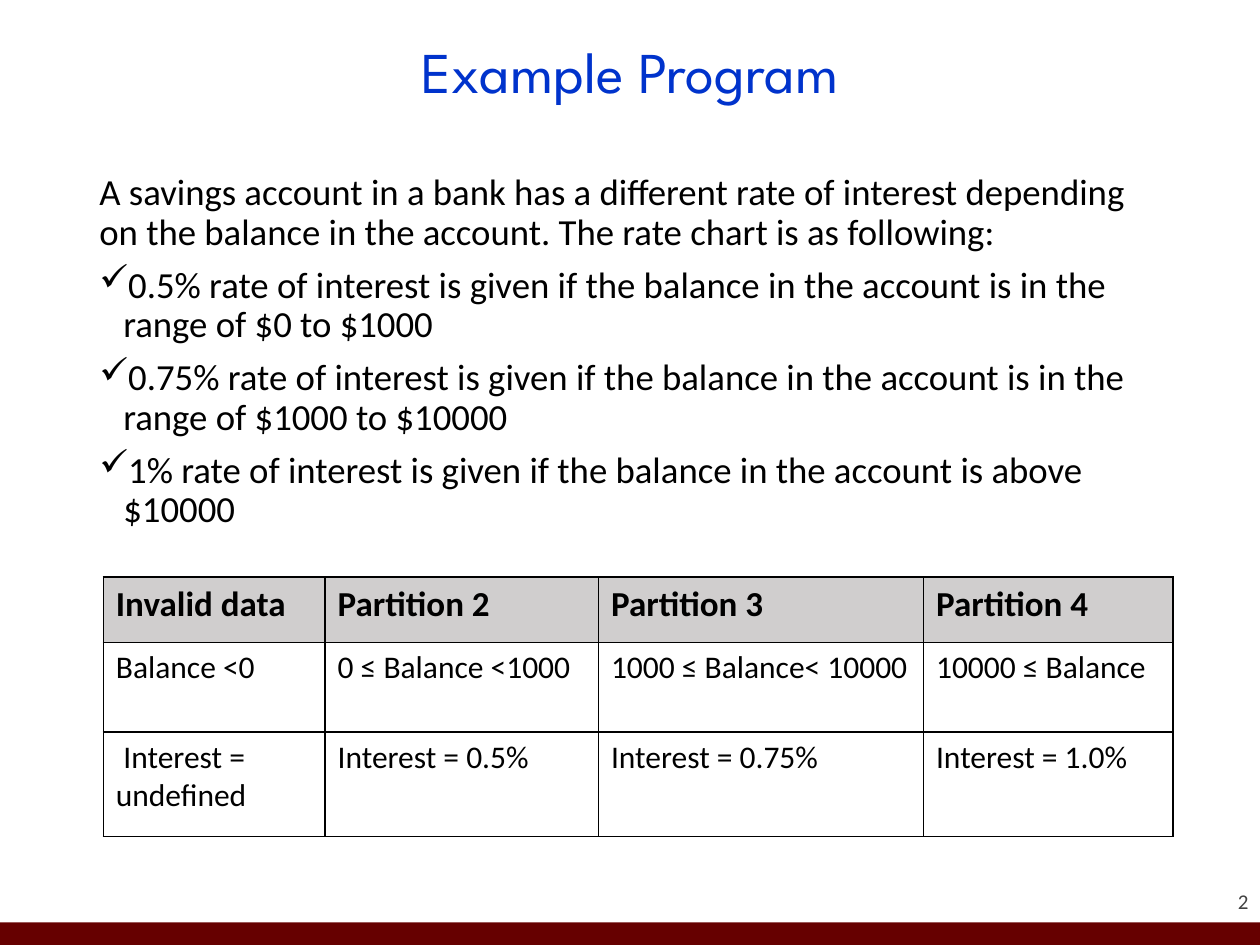
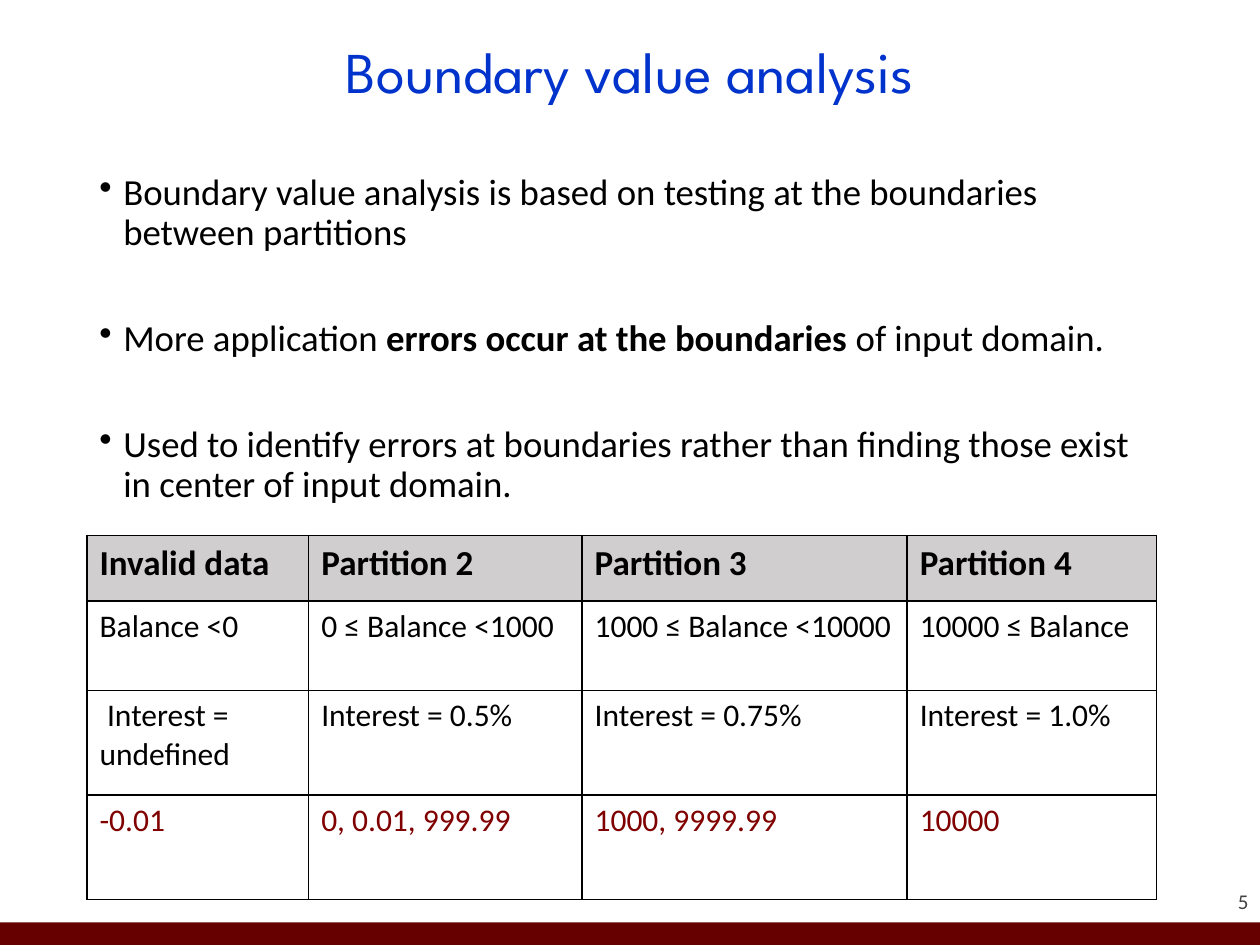
from lxml import etree
from pptx import Presentation
from pptx.dml.color import RGBColor
from pptx.enum import shapes, text
from pptx.oxml import ns
from pptx.util import Inches, Pt

BLUE, MAROON, RED = "0033CC", "660000", "800000"
BLACK, WHITE, GREY, HEADER_GREY = "000000", "FFFFFF", "424242", "D0CECE"
TITLE_FONT, BODY_FONT = "League Spartan", "Calibri"
COLUMN_WIDTHS = [1.76, 2.17, 2.58, 1.98]
ROW_HEIGHTS = [0.52, 0.71, 0.83, 0.83]
HANGING = 0.19


def color(hex_string):
    return RGBColor.from_string(hex_string)


def style(para, size, hex_string, name=BODY_FONT, bold=False):
    """Set the font that all runs of a paragraph share."""
    para.font.name = name
    para.font.size = Pt(size)
    para.font.bold = bold
    para.font.color.rgb = color(hex_string)


header = ["Invalid data", "Partition 2", "Partition 3", "Partition 4"]
interest = ["Interest = undefined", "Interest = 0.5%", "Interest = 0.75%", "Interest = 1.0%"]

# Each body line is a bullet and its text; asterisks enclose bold words.
pages = [
    {
        "title": "Example Program",
        "number": "2",
        "gap": 7.5,
        "lines": [
            ("", "A savings account in a bank has a different rate of interest depending "
                 "on the balance in the account. The rate chart is as following:"),
            ("✓", "0.5% rate of interest is given if the balance in the account is in the "
                  "range of $0 to $1000"),
            ("✓", "0.75% rate of interest is given if the balance in the account is in the "
                  "range of $1000 to $10000"),
            ("✓", "1% rate of interest is given if the balance in the account is above $10000"),
        ],
        "table_at": (0.82, 4.58),
        "rows": [
            header,
            ["Balance <0", "0 ≤ Balance <1000", "1000 ≤ Balance< 10000", "10000 ≤ Balance"],
            interest,
        ],
    },
    {
        "title": "Boundary value analysis",
        "number": "5",
        "gap": 38,
        "lines": [
            ("•", "Boundary value analysis is based on testing at the boundaries between partitions"),
            ("•", "More application *errors occur at the boundaries* of input domain."),
            ("•", "Used to identify errors at boundaries rather than finding those exist "
                  "in center of input domain."),
        ],
        "table_at": (0.69, 4.25),
        "rows": [
            header,
            ["Balance <0", "0 ≤ Balance <1000", "1000 ≤ Balance <10000", "10000 ≤ Balance"],
            interest,
            ["-0.01", "0, 0.01, 999.99", "1000, 9999.99", "10000"],
        ],
    },
]

deck = Presentation()
deck.slide_width, deck.slide_height = Inches(10), Inches(7.5)

for content in pages:
    page = deck.slides.add_slide(deck.slide_layouts[6])

    # Footer band and page number
    band = page.shapes.add_shape(
        shapes.MSO_SHAPE.RECTANGLE, Inches(0), Inches(7.32), Inches(10), Inches(0.18))
    band.shadow.inherit = False
    band.fill.solid()
    band.fill.fore_color.rgb = color(MAROON)
    band.line.fill.background()

    box = page.shapes.add_textbox(Inches(9.08), Inches(6.85), Inches(0.83), Inches(0.4))
    frame = box.text_frame
    frame.margin_left = frame.margin_right = frame.margin_top = frame.margin_bottom = 0
    frame.vertical_anchor = text.MSO_ANCHOR.BOTTOM
    para = frame.paragraphs[0]
    para.text = content["number"]
    para.alignment = text.PP_ALIGN.RIGHT
    style(para, 12, GREY)

    # Title
    box = page.shapes.add_textbox(Inches(0.69), Inches(0.12), Inches(8.62), Inches(0.94))
    frame = box.text_frame
    frame.word_wrap = True
    frame.vertical_anchor = text.MSO_ANCHOR.MIDDLE
    para = frame.paragraphs[0]
    para.text = content["title"]
    para.alignment = text.PP_ALIGN.CENTER
    para.line_spacing = 0.9
    style(para, 33, BLUE, TITLE_FONT)

    # Body
    box = page.shapes.add_textbox(Inches(0.69), Inches(1.33), Inches(8.62), Inches(5.42))
    frame = box.text_frame
    frame.word_wrap = True
    for index, (bullet, line) in enumerate(content["lines"]):
        para = frame.add_paragraph() if index else frame.paragraphs[0]
        if bullet:
            properties = para._p.get_or_add_pPr()
            properties.set("marL", str(Inches(HANGING)))
            properties.set("indent", str(-Inches(HANGING)))
            etree.SubElement(properties, ns.qn("a:buChar")).set("char", bullet)
        para.line_spacing = 0.9
        para.space_before = Pt(content["gap"] if index else 0)
        style(para, 21, BLACK)
        for part, words in enumerate(line.split("*")):
            span = para.add_run()
            span.text = words
            if part % 2:
                span.font.bold = True

    # Partition table
    rows = content["rows"]
    left, top = content["table_at"]
    table = page.shapes.add_table(
        len(rows), len(COLUMN_WIDTHS), Inches(left), Inches(top),
        Inches(sum(COLUMN_WIDTHS)), Inches(sum(ROW_HEIGHTS[:len(rows)]))).table
    table.horz_banding = False
    for column, width in zip(table.columns, COLUMN_WIDTHS):
        column.width = Inches(width)
    for row_index, values in enumerate(rows):
        table.rows[row_index].height = Inches(ROW_HEIGHTS[row_index])
        is_header = row_index == 0
        for column_index, value in enumerate(values):
            cell = table.cell(row_index, column_index)
            cell_properties = cell._tc.get_or_add_tcPr()
            for side in ("lnL", "lnR", "lnT", "lnB"):
                border = etree.SubElement(cell_properties, ns.qn(f"a:{side}"), w=str(Pt(1)))
                fill = etree.SubElement(border, ns.qn("a:solidFill"))
                etree.SubElement(fill, ns.qn("a:srgbClr"), val=BLACK)
            cell.fill.solid()
            cell.fill.fore_color.rgb = color(HEADER_GREY if is_header else WHITE)
            para = cell.text_frame.paragraphs[0]
            para.text = value
            if value == interest[0]:
                para._p.get_or_add_pPr().set("indent", str(Inches(0.06)))
            style(para, 20 if is_header else 18, RED if row_index == 3 else BLACK, bold=is_header)

deck.save("out.pptx")
